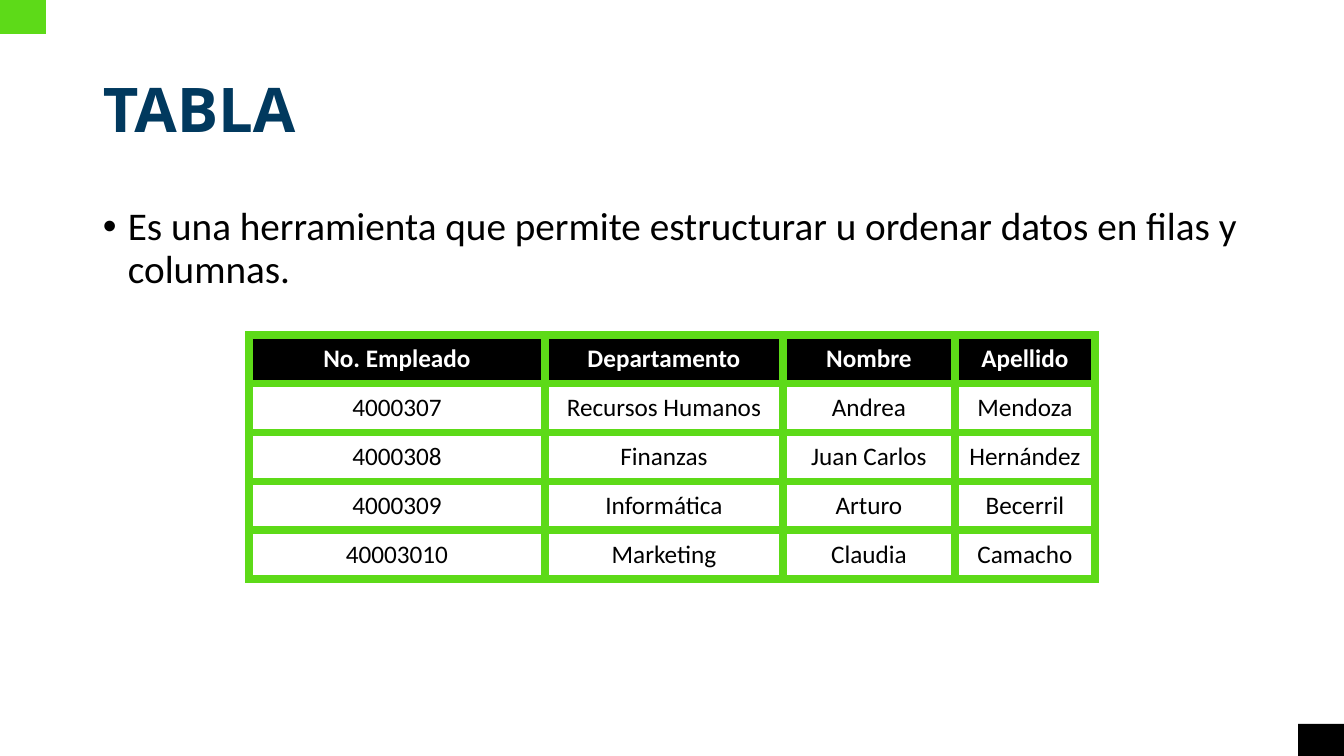
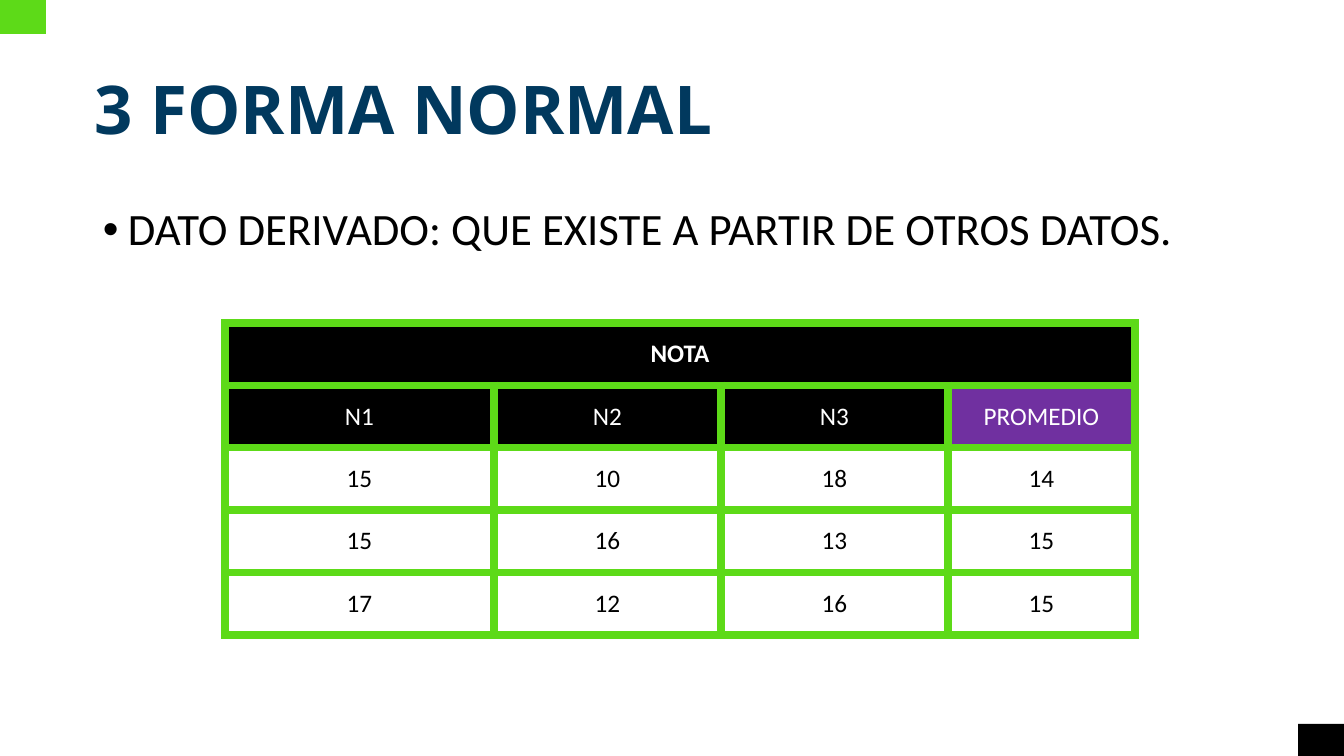
import pptx
import pptx.dml.color
import pptx.enum.shapes
import pptx.enum.text
import pptx.oxml
import pptx.oxml.ns
import pptx.util

EMU_PER_PX = 914400 / 100.8
SLIDE_WIDTH, SLIDE_HEIGHT = 1344, 756
GREEN, BLACK, WHITE = "5DDA18", "000000", "FFFFFF"
NAVY, PURPLE = "01395E", "7030A0"
TITLE_FONT, BODY_FONT = "Open Sans", "Calibri"
MIDDLE = pptx.enum.text.MSO_ANCHOR.MIDDLE
CENTER = pptx.enum.text.PP_ALIGN.CENTER


def px(length):
    """Turn pixels into EMU."""
    return pptx.util.Emu(round(length * EMU_PER_PX))


def color(value):
    """Turn a hex string into a colour."""
    return pptx.dml.color.RGBColor.from_string(value)


def xml_element(markup):
    """Parse one drawing element, with the namespace on its root."""
    namespace = pptx.oxml.ns.nsdecls("a")
    return pptx.oxml.parse_xml(markup.replace(" ", f" {namespace} ", 1))


def write_text(frame, text, size, font=BODY_FONT, fill=BLACK, bold=False,
               align=None, line_spacing=None, bullet_indent=0):
    """Write one formatted paragraph into a text frame."""
    frame.word_wrap = True
    paragraph = frame.paragraphs[0]
    paragraph.alignment = align
    paragraph.line_spacing = line_spacing
    if bullet_indent:
        properties = paragraph._p.get_or_add_pPr()
        properties.set("marL", str(px(bullet_indent)))
        properties.set("indent", str(-px(bullet_indent)))
        properties.append(xml_element('<a:buFont typeface="Arial"/>'))
        properties.append(xml_element('<a:buChar char="•"/>'))
    run = paragraph.add_run()
    run.text = text
    run.font.size = pptx.util.Pt(size)
    run.font.name = font
    run.font.bold = bold
    run.font.color.rgb = color(fill)


def add_text_box(slide, box, text, anchor=pptx.enum.text.MSO_ANCHOR.TOP, **text_format):
    """Add a text box that fills the given box."""
    frame = slide.shapes.add_textbox(*map(px, box)).text_frame
    frame.vertical_anchor = anchor
    write_text(frame, text, line_spacing=0.9, **text_format)


def add_corner(slide, box, fill):
    """Add one plain corner block."""
    shape = slide.shapes.add_shape(pptx.enum.shapes.MSO_SHAPE.RECTANGLE, *map(px, box))
    shape.shadow.inherit = False
    shape.fill.solid()
    shape.fill.fore_color.rgb = color(fill)
    shape.line.fill.background()


def style_cell(cell, fill):
    """Give a cell its green borders and its fill."""
    properties = cell._tc.get_or_add_tcPr()
    for side in "LRTB":
        properties.append(xml_element(
            f'<a:ln{side} w="{pptx.util.Pt(6)}"><a:solidFill><a:srgbClr val="{GREEN}"/>'
            f'</a:solidFill></a:ln{side}>'))
    cell.fill.solid()
    cell.fill.fore_color.rgb = color(fill)
    cell.vertical_anchor = MIDDLE


def add_data_table(slide, left, top, height, widths, rows, header_rows=1, accents=None):
    """Add a bordered table; a row with a single text spans every column."""
    accents = accents or {}
    box = (left, top, sum(widths), height)
    table = slide.shapes.add_table(len(rows), len(widths), *map(px, box)).table
    table.first_row = False
    table.horz_banding = False
    for column, width in zip(table.columns, widths):
        column.width = px(width)
    for row_index, texts in enumerate(rows):
        table.rows[row_index].height = px(height / len(rows))
        is_header = row_index < header_rows
        for column_index in range(len(widths)):
            default_fill = BLACK if is_header else WHITE
            fill = accents.get((row_index, column_index), default_fill)
            style_cell(table.cell(row_index, column_index), fill)
        if len(texts) == 1:
            table.cell(row_index, 0).merge(table.cell(row_index, len(widths) - 1))
        for column_index, text in enumerate(texts):
            write_text(table.cell(row_index, column_index).text_frame, text, size=18,
                       fill=WHITE if is_header else BLACK, bold=row_index == 0,
                       align=CENTER)


def add_content_slide(presentation, title, title_box, title_size, body, body_box, body_size):
    """Add a slide with corner blocks, a title and one bullet."""
    slide = presentation.slides.add_slide(presentation.slide_layouts[6])
    add_corner(slide, (0, 0, 46, 34), GREEN)
    add_corner(slide, (SLIDE_WIDTH - 46, SLIDE_HEIGHT - 32, 46, 32), BLACK)
    add_text_box(slide, title_box, title, anchor=MIDDLE, size=title_size,
                 font=TITLE_FONT, fill=NAVY, bold=True)
    add_text_box(slide, body_box, body, size=body_size, bullet_indent=25)
    return slide


def build_table_slide(presentation):
    """Build the slide that defines a table."""
    slide = add_content_slide(
        presentation, "TABLA", (93, 40, 1159, 146), 44,
        "Es una herramienta que permite estructurar u ordenar datos en filas y columnas.",
        (93, 202, 1159, 480), 28)
    add_data_table(slide, 249, 335, 244, (296, 238, 172, 140), (
        ("No. Empleado", "Departamento", "Nombre", "Apellido"),
        ("4000307", "Recursos Humanos", "Andrea", "Mendoza"),
        ("4000308", "Finanzas", "Juan Carlos", "Hernández"),
        ("4000309", "Informática", "Arturo", "Becerril"),
        ("40003010", "Marketing", "Claudia", "Camacho"),
    ))


def build_normal_form_slide(presentation):
    """Build the slide on derived data."""
    slide = add_content_slide(
        presentation, "3 FORMA NORMAL", (85, 40, 1126, 146), 48,
        "DATO DERIVADO: QUE EXISTE A PARTIR DE OTROS DATOS.",
        (93, 202, 1206, 480), 32)
    add_data_table(slide, 225, 323, 312, (269, 227, 227, 187), (
        ("NOTA",),
        ("N1", "N2", "N3", "PROMEDIO"),
        ("15", "10", "18", "14"),
        ("15", "16", "13", "15"),
        ("17", "12", "16", "15"),
    ), header_rows=2, accents={(1, 3): PURPLE})


def main():
    """Build and save the presentation."""
    presentation = pptx.Presentation()
    presentation.slide_width = px(SLIDE_WIDTH)
    presentation.slide_height = px(SLIDE_HEIGHT)
    build_table_slide(presentation)
    build_normal_form_slide(presentation)
    presentation.save("out.pptx")


if __name__ == "__main__":
    main()
